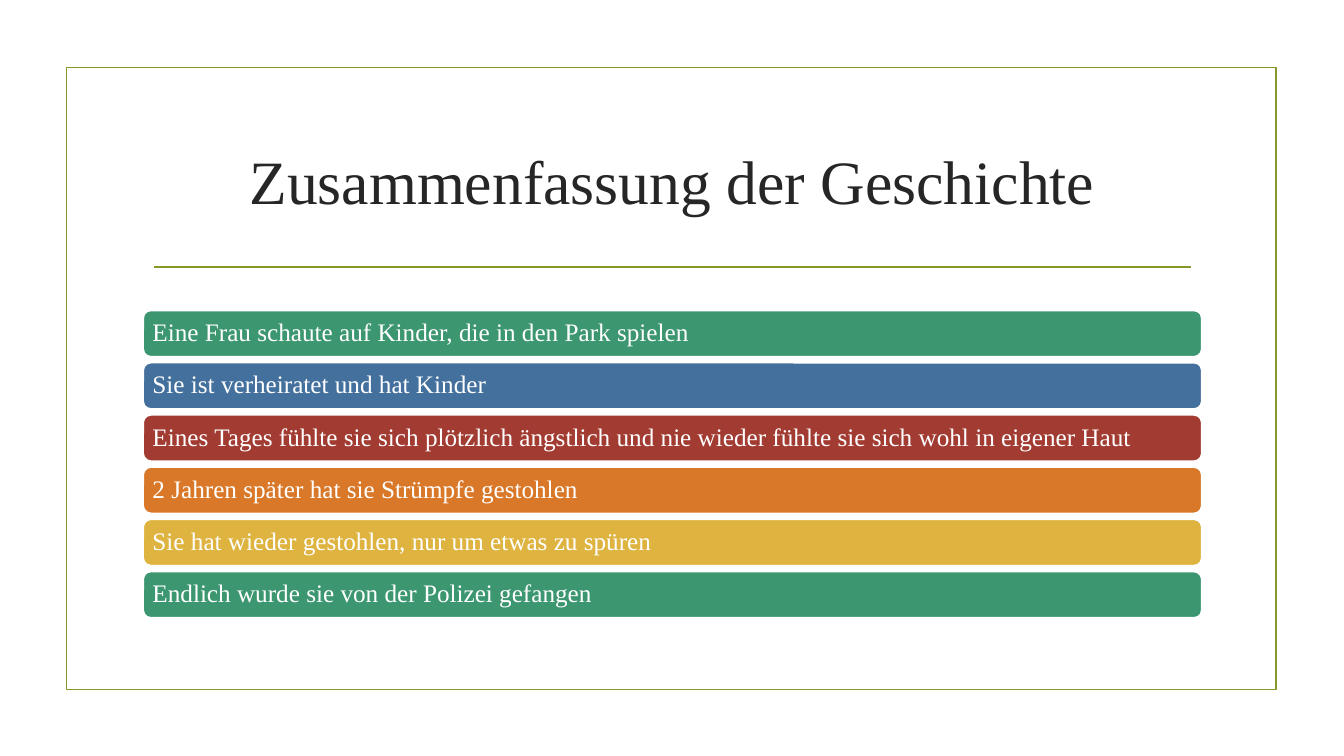
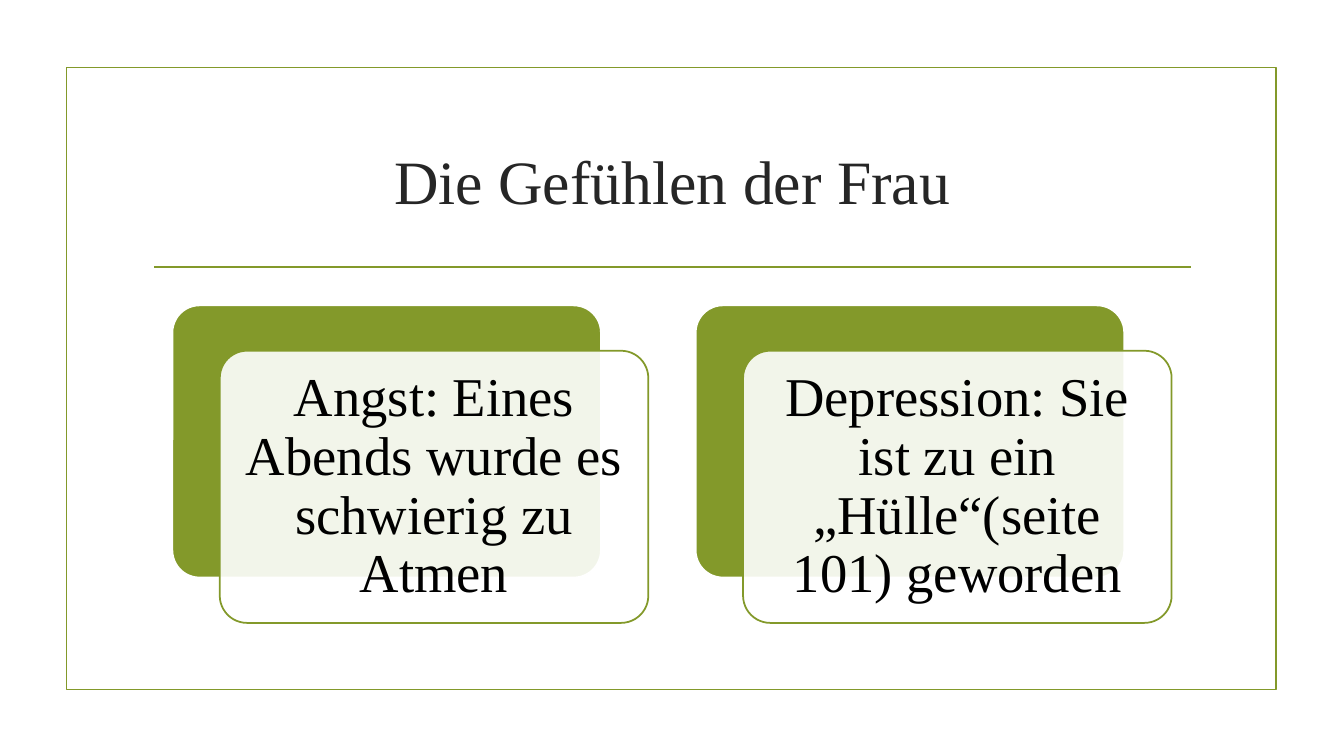
from pptx import Presentation
from pptx.dml.color import RGBColor
from pptx.enum import shapes, text
from pptx.oxml import parse_xml
from pptx.oxml.ns import nsdecls, qn
from pptx.util import Inches, Pt

FONT = "Times New Roman"
COLORS = {
    "olive": "83992A", "title": "262626", "white": "FFFFFF", "black": "000000",
    "green": "3C9770", "blue": "44709D", "red": "A23C33",
    "orange": "D97828", "yellow": "DEB340",
}
RGB = {name: RGBColor.from_string(value) for name, value in COLORS.items()}

prs = Presentation()
prs.slide_width, prs.slide_height = Inches(13.33), Inches(7.5)


def add_box(s, kind, left, top, width, height, fill, line):
    sp = s.shapes.add_shape(kind, Inches(left), Inches(top), Inches(width), Inches(height))
    sp.shadow.inherit = False
    if fill:
        sp.fill.solid()
        sp.fill.fore_color.rgb = RGB[fill]
    else:
        sp.fill.background()
    sp.line.color.rgb = RGB[line]
    sp.line.width = Pt(1.25)
    return sp


def write(sp, words, size, color, align, inset, spacing):
    tf = sp.text_frame
    tf.word_wrap = True
    tf.auto_size = text.MSO_AUTO_SIZE.NONE
    tf.vertical_anchor = text.MSO_ANCHOR.MIDDLE
    tf.margin_left = tf.margin_right = tf.margin_top = tf.margin_bottom = Inches(inset)
    p = tf.paragraphs[0]
    p.alignment = align
    p.line_spacing = spacing
    r = p.add_run()
    r.text = words
    r.font.name, r.font.size, r.font.color.rgb = FONT, Pt(size), RGB[color]


# Shared frame, rule and title
slides = []
for title in ("Zusammenfassung der Geschichte", "Die Gefühlen der Frau"):
    s = prs.slides.add_slide(prs.slide_layouts[5])
    add_box(s, shapes.MSO_SHAPE.RECTANGLE, 0.66, 0.67, 12, 6.17, None, "olive")
    rule = s.shapes.add_connector(shapes.MSO_CONNECTOR.STRAIGHT,
                                  Inches(1.53), Inches(2.65), Inches(11.81), Inches(2.65))
    rule.line.color.rgb = RGB["olive"]
    rule.line.width = Pt(1.25)
    rule._element.spPr.append(parse_xml(f"<a:effectLst {nsdecls('a')}/>"))
    sp = s.shapes.title
    sp.left, sp.top, sp.width, sp.height = Inches(1.42), Inches(1.07), Inches(10.5), Inches(1.43)
    write(sp, title, 44, "title", text.PP_ALIGN.CENTER, 0.05, 1.0)
    slides.append(s)

story, feelings = slides

# Story steps as stacked bars
steps = [
    ("Eine Frau schaute auf Kinder, die in den Park spielen", "green"),
    ("Sie ist verheiratet und hat Kinder", "blue"),
    ("Eines Tages fühlte sie sich plötzlich ängstlich und nie wieder fühlte sie sich "
     "wohl in eigener Haut", "red"),
    ("2 Jahren später hat sie Strümpfe gestohlen", "orange"),
    ("Sie hat wieder gestohlen, nur um etwas zu spüren", "yellow"),
    ("Endlich wurde sie von der Polizei gefangen", "green"),
]
for i, (words, color) in enumerate(steps):
    bar = add_box(story, shapes.MSO_SHAPE.ROUNDED_RECTANGLE,
                  1.42, 3.08 + i * 0.518, 10.5, 0.46, color, "white")
    write(bar, words, 18, "white", text.PP_ALIGN.LEFT, 0.07, 0.9)

# Feelings as offset card pairs
cards = ["Angst: Eines Abends wurde es schwierig zu Atmen",
         "Depression: Sie ist zu ein „Hülle“(seite 101) geworden"]
for i, words in enumerate(cards):
    left = 1.71 + i * 5.19
    back = add_box(feelings, shapes.MSO_SHAPE.ROUNDED_RECTANGLE,
                   left, 3.03, 4.25, 2.7, "olive", "white")
    front = add_box(feelings, shapes.MSO_SHAPE.ROUNDED_RECTANGLE,
                    left + 0.47, 3.48, 4.25, 2.7, "white", "olive")
    back.adjustments[0] = front.adjustments[0] = 0.1
    # Front card is 90 % opaque
    fill = front._element.spPr.find(qn("a:solidFill"))
    fill[0].append(parse_xml(f'<a:alpha {nsdecls("a")} val="90000"/>'))
    write(front, words, 39, "black", text.PP_ALIGN.CENTER, 0.16, 0.9)

prs.save("out.pptx")
